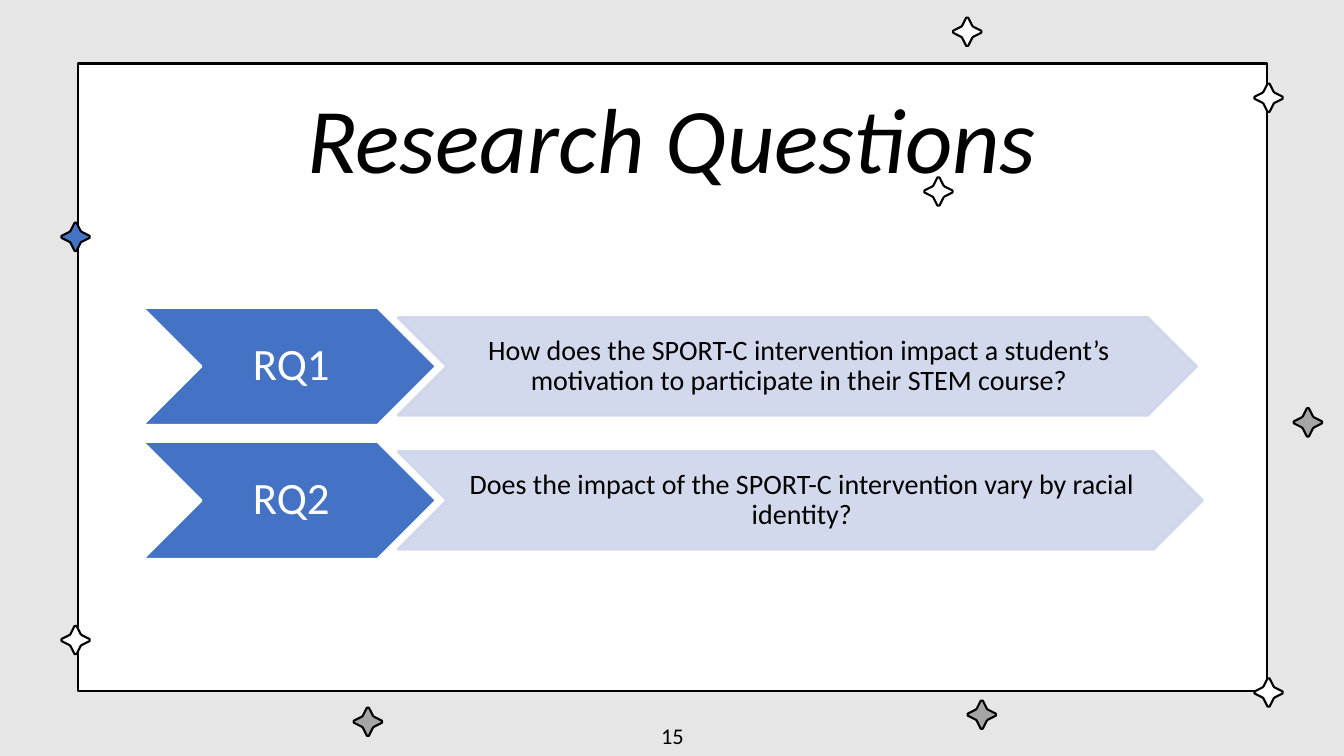
from dataclasses import dataclass

from lxml.etree import SubElement
from pptx import Presentation
from pptx.dml.color import RGBColor
from pptx.enum.shapes import MSO_SHAPE as Preset
from pptx.enum.text import MSO_ANCHOR as Anchor, MSO_AUTO_SIZE as AutoSize, PP_ALIGN as Align
from pptx.oxml.ns import qn
from pptx.shapes.autoshape import Shape
from pptx.shapes.shapetree import SlideShapes
from pptx.util import Inches, Length, Pt

COLORS = {"ground": "E7E6E6", "white": "FFFFFF", "black": "000000",
          "blue": "4472C4", "gray": "A5A5A5", "pale": "CFD5EA"}
COLUMNS, ROWS = 133.33, 75  # square grid cells of a tenth of an inch


@dataclass(frozen=True)
class Box:
    column: float
    row: float
    width: float
    height: float

    def lengths(self) -> tuple[Length, ...]:
        return tuple(cells(n) for n in (self.column, self.row, self.width, self.height))


@dataclass(frozen=True)
class Star:
    column: float
    row: float
    color: str


@dataclass(frozen=True)
class Question:
    label: str
    wording: str
    width: float


@dataclass(frozen=True)
class TextStyle:
    size: float
    color: str = "black"
    italic: bool = False
    spacing: float = 1.0
    insets: tuple[float, float, float, float] = (1, 0.5, 1, 0.5)


PANEL = Box(7.7, 6.3, 118, 62.3)
TITLE = Box(19.9, 9.5, 93.5, 8.1)
PAGE_NUMBER = Box(51.7, 71, 30, 4)
LABEL_STYLE = TextStyle(32, "white", spacing=0.9, insets=(0.4, 0.2, 0, 0.2))
WORDING_STYLE = TextStyle(20, spacing=0.9, insets=(0.3, 0.1, 0, 0.1))
FIRST_ROW, ROW_PITCH = 30.5, 13.3

# One quarter of a star's outline, from its upper tip, about the centre
QUARTER = [(0, -1.4), (0.1, -1.4), (0.5, -0.6), (0.6, -0.5), (1.4, -0.1)]
STARS = [
    Star(129.75, 41.9, "gray"), Star(7.5, 23.5, "blue"),
    Star(125.85, 68.7, "white"), Star(125.85, 9.7, "white"),
    Star(7.5, 63.5, "white"), Star(95.95, 3.15, "white"),
    Star(97.4, 70.9, "gray"), Star(36.5, 71.6, "gray"),
    Star(93.1, 19, "white"),
]
QUESTIONS = [
    Question("RQ1", "How does the SPORT-C intervention impact a student’s "
             "motivation to participate in their STEM course?", 79.2),
    Question("RQ2", "Does the impact of the SPORT-C intervention vary by "
             "racial identity?", 79.8),
]


def cells(count: float) -> Length:
    return Inches(count / 10)


def rgb(name: str) -> RGBColor:
    return RGBColor.from_string(COLORS[name])


def paint(shape: Shape, fill: str, line: str, points: float) -> None:
    shape.shadow.inherit = False
    shape.fill.solid()
    shape.fill.fore_color.rgb = rgb(fill)
    shape.line.color.rgb = rgb(line)
    shape.line.width = Pt(points)


def make_translucent(shape: Shape, percent: int) -> None:
    for color in shape.element.spPr.iter(qn("a:srgbClr")):
        SubElement(color, qn("a:alpha"), val=str(percent * 1000))


def write(shape: Shape, text: str, style: TextStyle) -> None:
    frame = shape.text_frame
    frame.text = text
    frame.word_wrap = True
    frame.auto_size = AutoSize.NONE
    frame.vertical_anchor = Anchor.MIDDLE
    (frame.margin_left, frame.margin_top,
     frame.margin_right, frame.margin_bottom) = map(cells, style.insets)
    paragraph = frame.paragraphs[0]
    paragraph.alignment = Align.CENTER
    paragraph.line_spacing = style.spacing
    font = paragraph.runs[0].font
    font.name = "Calibri"
    font.size = Pt(style.size)
    font.italic = style.italic
    font.color.rgb = rgb(style.color)


def draw_star(shapes: SlideShapes, star: Star) -> None:
    outline, quarter = [], QUARTER
    for _ in range(4):
        outline += quarter
        quarter = [(-y, x) for x, y in quarter]
    points = [(cells(star.column + x), cells(star.row + y)) for x, y in outline]
    builder = shapes.build_freeform(*points[0])
    builder.add_line_segments(points[1:], close=True)
    paint(builder.convert_to_shape(), star.color, "black", 1.5)


def draw_chevron(shapes: SlideShapes, box: Box, text: str, style: TextStyle,
                 fill: str, line: str) -> Shape:
    chevron = shapes.add_shape(Preset.CHEVRON, *box.lengths())
    paint(chevron, fill, line, 2)
    write(chevron, text, style)
    return chevron


def main() -> None:
    deck = Presentation()
    deck.slide_width, deck.slide_height = cells(COLUMNS), cells(ROWS)
    slide = deck.slides.add_slide(deck.slide_layouts[5])
    shapes = slide.shapes
    slide.background.fill.solid()
    slide.background.fill.fore_color.rgb = rgb("ground")

    # Panel and stars
    panel = shapes.add_shape(Preset.RECTANGLE, *PANEL.lengths())
    paint(panel, "white", "black", 1.5)
    for star in STARS:
        draw_star(shapes, star)

    # Research questions
    for index, question in enumerate(QUESTIONS):
        row = FIRST_ROW + index * ROW_PITCH
        draw_chevron(shapes, Box(14.1, row, 29.2, 11.7), question.label,
                     LABEL_STYLE, "blue", "white")
        wording = draw_chevron(shapes, Box(39.5, row + 1, question.width, 9.7),
                               question.wording, WORDING_STYLE, "pale", "pale")
        make_translucent(wording, 90)

    # Title, brought in front of the panel
    title = shapes.title
    title.left, title.top, title.width, title.height = TITLE.lengths()
    write(title, "Research Questions",
          TextStyle(66, italic=True, insets=(1.3, 1.3, 1.3, 1.3)))
    panel.element.getparent().append(title.element)

    # Page number
    write(shapes.add_textbox(*PAGE_NUMBER.lengths()), "15", TextStyle(16))

    deck.save("out.pptx")


if __name__ == "__main__":
    main()
